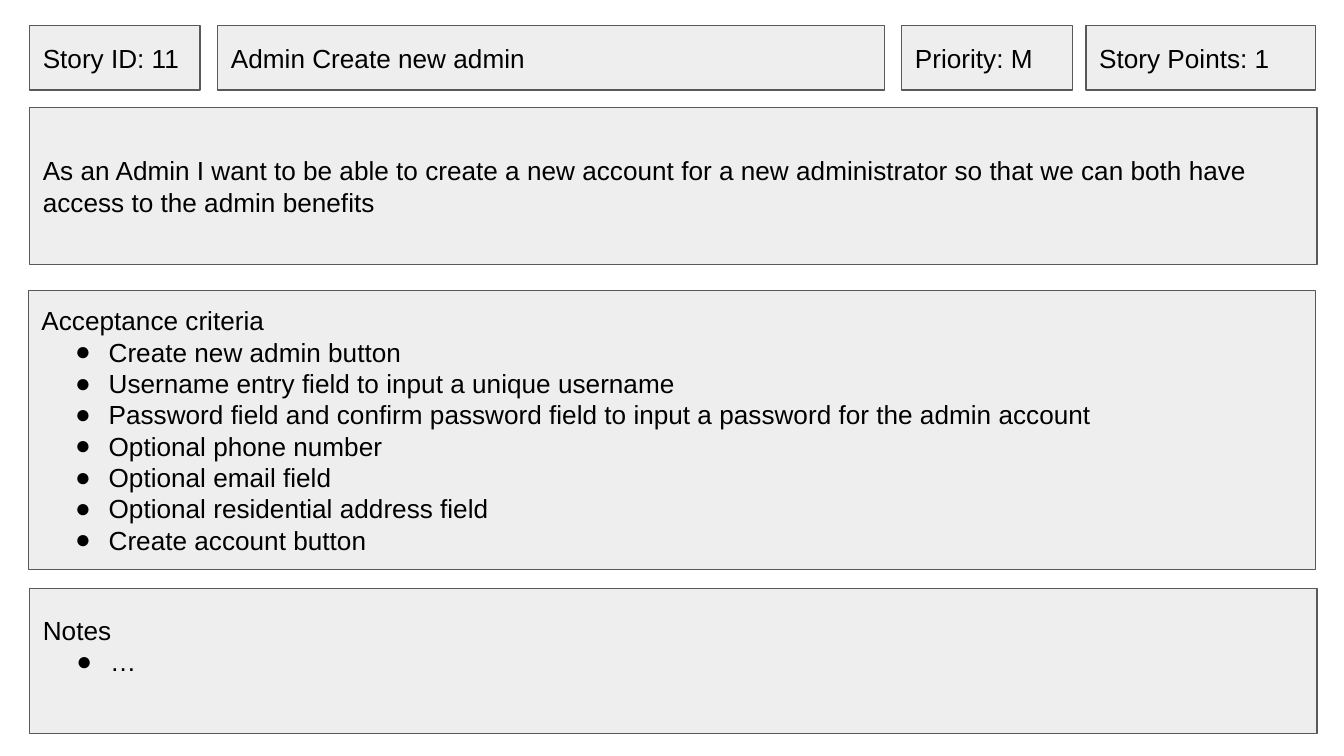
from dataclasses import dataclass

from lxml import etree
from pptx import Presentation
from pptx.dml.color import RGBColor
from pptx.enum import shapes, text
from pptx.oxml import ns
from pptx.util import Inches, Pt

FONT, SIZE = "Arial", 14
INK, FILL, EDGE = "000000", "EEEEEE", "595959"
LEFT, WIDE = 0.22, 9.58
TOP, HEAD = 0.19, 0.48


@dataclass
class Panel:
    left: float
    top: float
    width: float
    height: float
    title: str
    items: tuple[str, ...] = ()
    foot: float = 0.1  # bottom inset


PANELS = [
    Panel(LEFT, TOP, 1.27, HEAD, "Story ID: 11"),
    Panel(1.62, TOP, 4.96, HEAD, "Admin Create new admin"),
    Panel(6.71, TOP, 1.27, HEAD, "Priority: M"),
    Panel(8.08, TOP, 1.71, HEAD, "Story Points: 1"),
    Panel(LEFT, 0.8, WIDE, 1.17,
          "As an Admin I want to be able to create a new account for a new "
          "administrator so that we can both have access to the admin benefits"),
    Panel(0.21, 2.16, WIDE, 2.08, "Acceptance criteria", (
        "Create new admin button",
        "Username entry field to input a unique username",
        "Password field and confirm password field to input a password "
        "for the admin account",
        "Optional phone number",
        "Optional email field",
        "Optional residential address field",
        "Create account button",
    )),
    Panel(LEFT, 4.38, WIDE, 1.08, "Notes", ("…",), foot=0.33),
]


def color(code: str) -> RGBColor:
    return RGBColor.from_string(code)


def write(para, words: str, *, size: float = SIZE, ink: str = INK,
          bullet: str = "") -> None:
    para.alignment = text.PP_ALIGN.LEFT
    run = para.add_run()
    run.text = words
    run.font.name = FONT
    run.font.size = Pt(size)
    run.font.color.rgb = color(ink)
    if bullet:
        props = para._p.get_or_add_pPr()
        props.set("marL", str(Inches(0.5)))
        props.set("indent", str(Inches(-0.25)))
        etree.SubElement(props, ns.qn("a:buFont"), typeface=FONT)
        etree.SubElement(props, ns.qn("a:buChar"), char=bullet)


def draw(slide, panel: Panel) -> None:
    box = slide.shapes.add_shape(
        shapes.MSO_SHAPE.RECTANGLE, Inches(panel.left), Inches(panel.top),
        Inches(panel.width), Inches(panel.height))
    box.shadow.inherit = False
    box.fill.solid()
    box.fill.fore_color.rgb = color(FILL)
    box.line.color.rgb = color(EDGE)
    box.line.width = Pt(0.75)

    frame = box.text_frame
    frame.word_wrap = True
    frame.vertical_anchor = text.MSO_ANCHOR.MIDDLE
    frame.margin_left = frame.margin_right = frame.margin_top = Inches(0.1)
    frame.margin_bottom = Inches(panel.foot)
    write(frame.paragraphs[0], panel.title)
    for item in panel.items:
        write(frame.add_paragraph(), item, bullet="●")


def main() -> None:
    deck = Presentation()
    deck.slide_width = Inches(10)
    deck.slide_height = Inches(10 * 9 / 16)
    slide = deck.slides.add_slide(deck.slide_layouts[6])
    for panel in PANELS:
        draw(slide, panel)
    deck.save("out.pptx")


if __name__ == "__main__":
    main()
